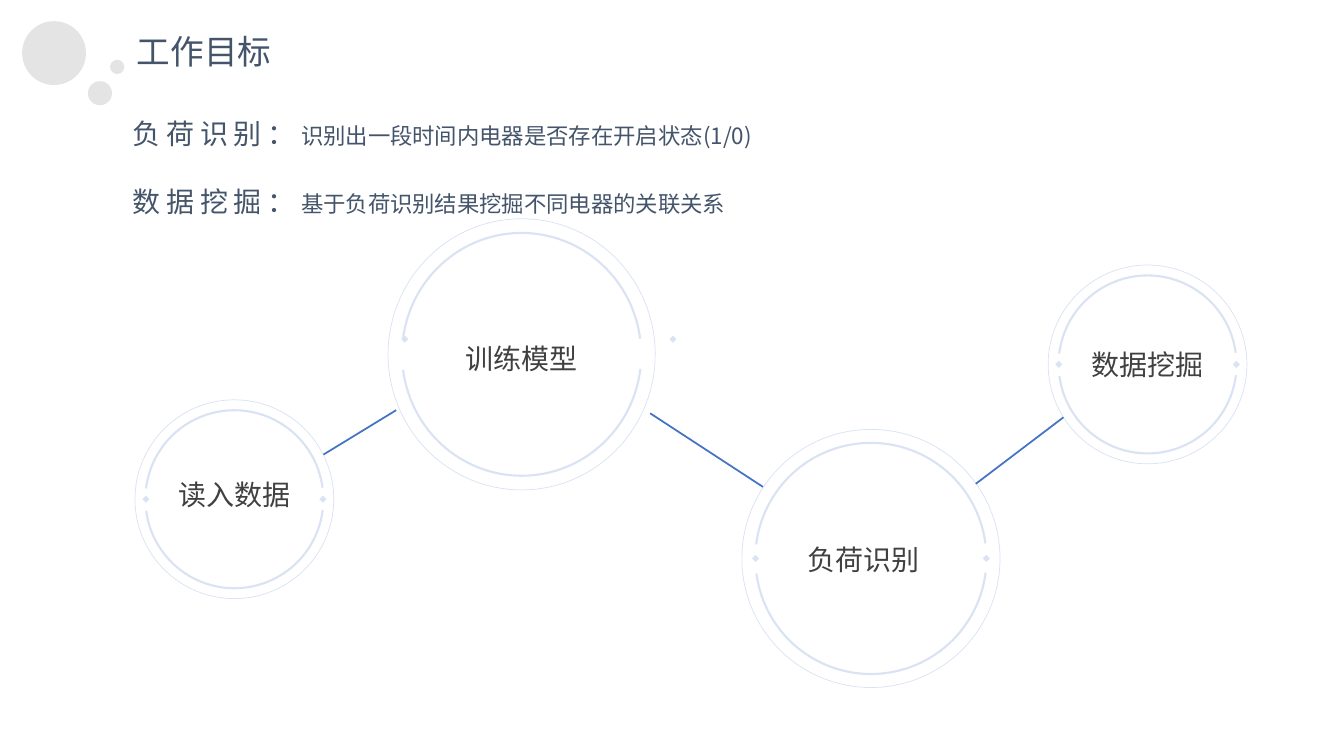
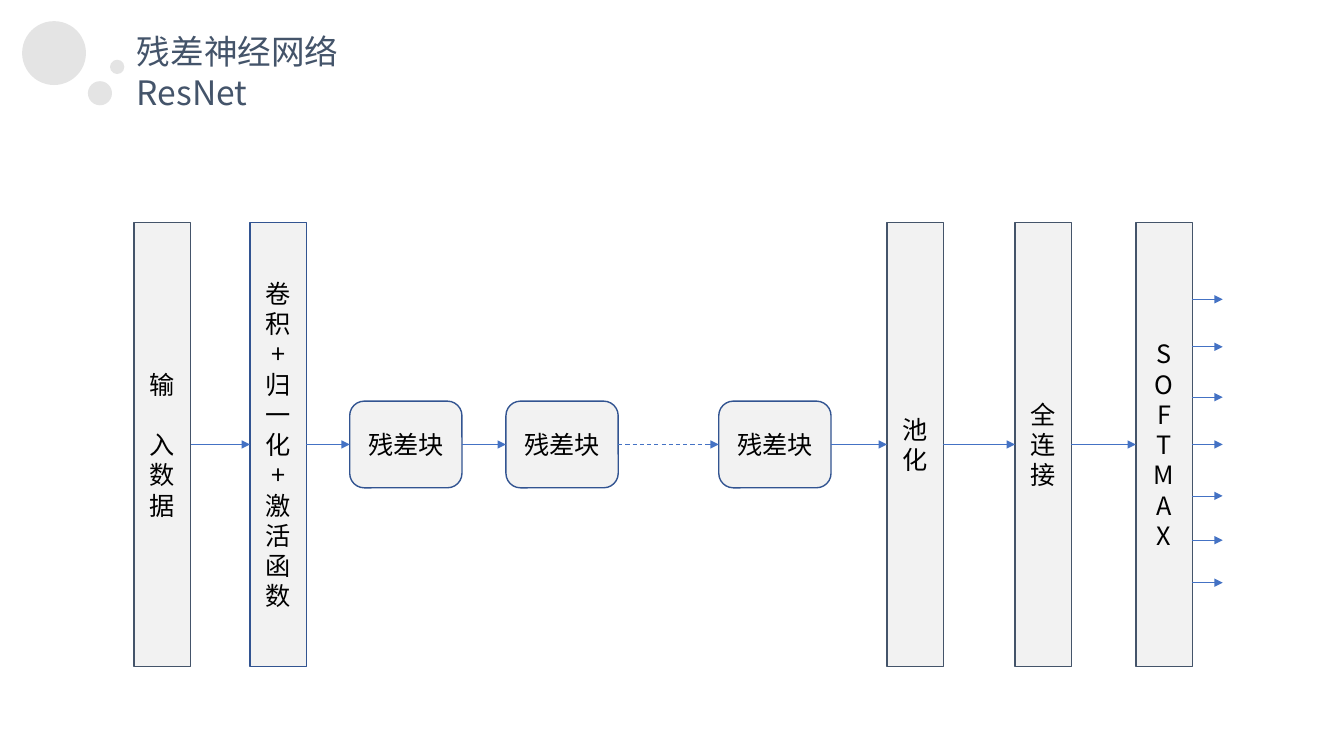
from itertools import pairwise
from lxml import etree
from pptx import Presentation
from pptx.dml import color
from pptx.enum import dml, shapes, text
from pptx.oxml import ns
from pptx.util import Pt

FONT = "Noto Sans CJK SC"
COLORS = {"slate": "44546A", "ink": "404040", "black": "000000", "bubble": "D9D9D9",
          "ring": "DAE3F3", "blue": "4472C4", "navy": "325491", "panel": "F2F2F2"}
KIND = shapes.MSO_SHAPE
MIDDLE = text.MSO_ANCHOR.MIDDLE
CENTER = text.PP_ALIGN.CENTER


def draw(page, kind, left, top, width, height, fill=None, line=None, weight=1):
    shape = page.shapes.add_shape(kind, Pt(left), Pt(top), Pt(width), Pt(height))
    shape.shadow.inherit = False
    for part, name in ((shape.fill, fill), (shape.line.fill, line)):
        if name:
            part.solid()
            part.fore_color.rgb = color.RGBColor.from_string(COLORS[name])
        else:
            part.background()
    if line:
        shape.line.width = Pt(weight)
    return shape


def write(para, words, size, ink, spacing=0):
    span = para.add_run()
    span.text = words
    for name, value in {"name": FONT, "size": Pt(size)}.items():
        setattr(span.font, name, value)
    span.font.color.rgb = color.RGBColor.from_string(COLORS[ink])
    props = span._r.get_or_add_rPr()
    props.set("spc", str(spacing * 100))
    etree.SubElement(props, ns.qn("a:ea"), typeface=FONT)


deck = Presentation()
deck.slide_width, deck.slide_height = Pt(960), Pt(540)
goals, network = [deck.slides.add_slide(deck.slide_layouts[6]) for _ in range(2)]
links = []
labels = []

for page, title in ((goals, "工作目标"), (network, "残差神经网络ResNet")):
    for left, top, size in ((15.8, 15.1, 45.6), (62.8, 58, 17.2), (78.6, 42.7, 10.2)):
        bubble = draw(page, KIND.FLOWCHART_CONNECTOR, left, top, size, size, "bubble")
        tint = bubble._element.spPr.find(".//" + ns.qn("a:srgbClr"))
        etree.SubElement(tint, ns.qn("a:alpha"), val="70000")
    labels.append((page, 90.7, 18.7, 180, 36, {}, {}, [(title, 24, "slate")]))

for top, height, spacing, term, meaning in (
    (79.9, 31.7, 1.0, "负荷识别：", "识别出一段时间内电器是否存在开启状态(1/0)"),
    (115.9, 39.6, 1.5, "数据挖掘：", "基于负荷识别结果挖掘不同电器的关联关系"),
):
    labels.append((goals, 87.8, top, 489, height, {}, {"line_spacing": spacing},
                   [(term, 20, "slate", 4), (meaning, 16, "slate")]))

INNER = 0.895
DOT = 3.6
nodes = (
    ("读入数据", 167.4, 356.6, 142, 142, 0, -3.2, (-63.2, 63.2, 0)),
    ("训练模型", 372.6, 253.1, 190.8, 193.7, 0, 2.5, (-83.5, 108, -10.8)),
    ("负荷识别", 622.1, 398.9, 184.4, 184.4, -5, 0.7, (-82.4, 82.4, 0)),
    ("数据挖掘", 819.7, 260.3, 142, 142, 0, 0, (-63.4, 63.4, 0)),
)
for name, x, y, width, height, shift, drop, (west, east, lift) in nodes:
    draw(goals, KIND.OVAL, x - width / 2, y - height / 2, width, height, None, "ring", 0.5)
    wide, tall = width * INNER, height * INNER
    for turn in (0, 180):
        arc = draw(goals, KIND.ARC, x - wide / 2, y - tall / 2, wide, tall, None, "ring", 1.5)
        arc.adjustments[0], arc.adjustments[1] = 112.18, 211.52
        arc.rotation = turn
    for offset in (west, east):
        dot = draw(goals, KIND.RECTANGLE, x + offset - DOT / 2, y + lift - DOT / 2, DOT, DOT, "ring")
        dot.rotation = 45
    labels.append((goals, x + shift - 55, y + drop - 16, 110, 32,
                   {"vertical_anchor": MIDDLE}, {"alignment": CENTER}, [(name, 20, "ink")]))

for ends in ((231.1, 324.7, 283, 293), (464.4, 295.2, 545, 347.8), (697, 345.6, 759.6, 298.1)):
    links.append((goals, *ends, 1.25, None, False))

for page, left, top, width, height, frame_format, para_format, spans in labels:
    box = page.shapes.add_textbox(Pt(left), Pt(top), Pt(width), Pt(height))
    frame = box.text_frame
    for name, value in {"word_wrap": True, **frame_format}.items():
        setattr(frame, name, value)
    for name, value in para_format.items():
        setattr(frame.paragraphs[0], name, value)
    for span in spans:
        write(frame.paragraphs[0], *span)

AXIS = 317.5
COLUMN = (KIND.RECTANGLE, 40.3, 317.5)
BLOCK = (KIND.ROUNDED_RECTANGLE, 80.2, 61.9)
LINE_GAP = 21.6
stages = (
    (COLUMN, 95.8, "slate", ["输", "入数据"], LINE_GAP),
    (COLUMN, 178.6, "navy", ["卷积+归一化+激活函数"], 0),
    (BLOCK, 249.8, "navy", ["残差块"], 0),
    (BLOCK, 361.4, "navy", ["残差块"], 0),
    (BLOCK, 513.4, "navy", ["残差块"], 0),
    (COLUMN, 633.6, "slate", ["池化"], 0),
    (COLUMN, 725, "slate", ["全连接"], 0),
    (COLUMN, 811.4, "slate", list("SOFTMAX"), 0),
)
for (kind, width, height), left, border, lines, gap in stages:
    box = draw(network, kind, left, AXIS - height / 2, width, height, "panel", border)
    frame = box.text_frame
    for name, value in {"word_wrap": True, "vertical_anchor": MIDDLE}.items():
        setattr(frame, name, value)
    for index, words in enumerate(lines):
        para = frame.add_paragraph() if index else frame.paragraphs[0]
        para.alignment = CENTER
        para.space_before = Pt(gap if index else 0)
        write(para, words, 18, "black")

for index, (stage, following) in enumerate(pairwise(stages)):
    start, end = stage[1] + stage[0][1], following[1]
    if index == 3:
        links.append((network, start, AXIS, end - 8.6, AXIS, 0.75, dml.MSO_LINE.DASH, False))
        start = end - 8.6
    links.append((network, start, AXIS, end, AXIS, 0.5, None, True))
for y in (213.8, 247.7, 283.7, AXIS, 354.2, 385.9, 416.2):
    links.append((network, 851.7, y, 873.4, y, 0.5, None, True))

for page, x1, y1, x2, y2, weight, dash, arrow in links:
    link = page.shapes.add_connector(shapes.MSO_CONNECTOR.STRAIGHT, Pt(x1), Pt(y1), Pt(x2), Pt(y2))
    link.line.color.rgb = color.RGBColor.from_string(COLORS["blue"])
    for name, value in {"width": Pt(weight), "dash_style": dash}.items():
        setattr(link.line, name, value)
    if arrow:
        etree.SubElement(link.line._get_or_add_ln(), ns.qn("a:tailEnd"), type="triangle")
    etree.SubElement(link._element.spPr, ns.qn("a:effectLst"))

deck.save("out.pptx")
